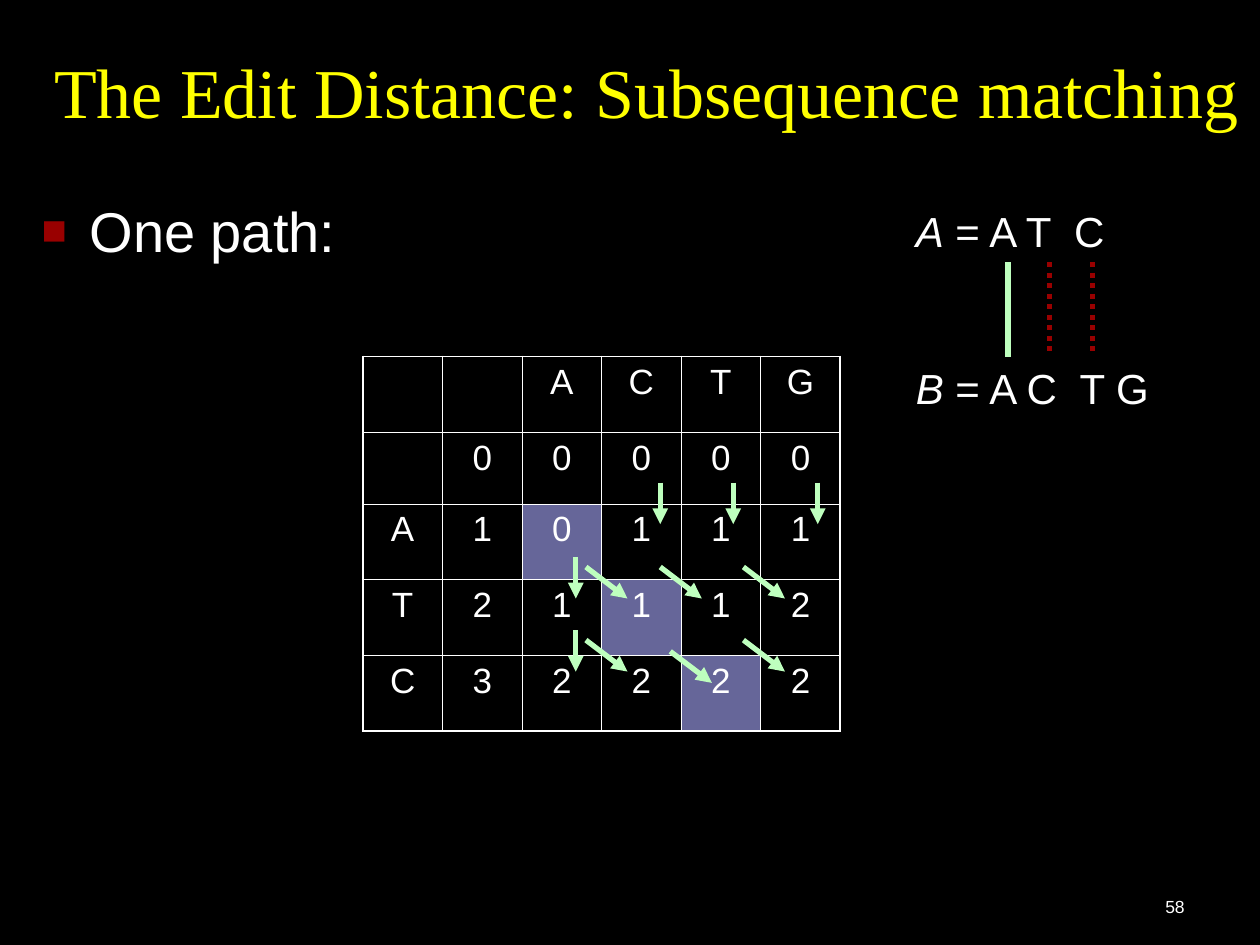
import pptx
import pptx.util
import pptx.dml.color
import pptx.enum.dml
import pptx.enum.shapes
import pptx.enum.text
import pptx.oxml
import pptx.oxml.ns
from lxml import etree

Inches = pptx.util.Inches
Pt = pptx.util.Pt
RGBColor = pptx.dml.color.RGBColor
Align = pptx.enum.text.PP_ALIGN
Anchor = pptx.enum.text.MSO_ANCHOR
qn = pptx.oxml.ns.qn

BLACK = RGBColor(0x00, 0x00, 0x00)
WHITE = RGBColor(0xFF, 0xFF, 0xFF)
YELLOW = RGBColor(0xFF, 0xFF, 0x00)
GREEN = RGBColor(0xBE, 0xFF, 0xBE)
RED = RGBColor(0x99, 0x00, 0x00)
PURPLE = RGBColor(0x66, 0x66, 0x99)


def style(para, size, color=WHITE, name="Arial"):
    para.font.size = Pt(size)
    para.font.name = name
    para.font.color.rgb = color


def link(x, y, dx, dy, color=GREEN):
    line = slide.shapes.add_connector(
        pptx.enum.shapes.MSO_CONNECTOR.STRAIGHT,
        Inches(x), Inches(y), Inches(x + dx), Inches(y + dy))
    line.line.color.rgb = color
    line.line.width = Pt(3)
    etree.SubElement(line._element.spPr, qn("a:effectLst"))
    return line


deck = pptx.Presentation()
deck.slide_width = Inches(10)
deck.slide_height = Inches(7.5)
slide = deck.slides.add_slide(deck.slide_layouts[1])
slide.background.fill.solid()
slide.background.fill.fore_color.rgb = BLACK

title = slide.shapes.title
title.left, title.top = Inches(0.33), Inches(0.33)
title.width, title.height = Inches(9.67), Inches(0.77)
frame = title.text_frame
frame.text = "The Edit Distance: Subsequence matching"
frame.auto_size = pptx.enum.text.MSO_AUTO_SIZE.NONE
frame.vertical_anchor = Anchor.BOTTOM
para = frame.paragraphs[0]
para.alignment = Align.LEFT
para.line_spacing = 0.8
style(para, 40, YELLOW, "Times New Roman")

body = slide.placeholders[1]
body.left, body.top = Inches(0.23), Inches(1.51)
body.width, body.height = Inches(9.77), Inches(3.57)
frame = body.text_frame
frame.text = "One path:"
frame.auto_size = pptx.enum.text.MSO_AUTO_SIZE.NONE
para = frame.paragraphs[0]
para.space_before = Pt(0)
props = para._p.get_or_add_pPr()
props.set("marL", str(Inches(0.38)))
props.set("indent", str(-Inches(0.38)))
color = etree.SubElement(props, qn("a:buClr"))
etree.SubElement(color, qn("a:srgbClr"), val=str(RED))
etree.SubElement(props, qn("a:buSzPct"), val="75000")
etree.SubElement(props, qn("a:buFont"), typeface="Arial")
etree.SubElement(props, qn("a:buChar"), char="■")
style(para, 32)

for name, word, top, width in [("A", " = A T  C", 1.58, 2.42),
                               ("B", " = A C  T G", 2.83, 2.25)]:
    box = slide.shapes.add_textbox(
        Inches(7.17), Inches(top), Inches(width), Inches(0.5))
    box.text_frame.word_wrap = True
    para = box.text_frame.paragraphs[0]
    style(para, 24)
    run = para.add_run()
    run.text = name
    run.font.italic = True
    para.add_run().text = word

link(8, 2.08, 0, 0.75)
for x in (8.33, 8.67):
    dots = link(x, 2.08, 0, 0.75, RED)
    dots.line.dash_style = pptx.enum.dml.MSO_LINE.ROUND_DOT

costs = [
    ["", "", "A", "C", "T", "G"],
    ["", "0", "0", "0", "0", "0"],
    ["A", "1", "0", "1", "1", "1"],
    ["T", "2", "1", "1", "1", "2"],
    ["C", "3", "2", "2", "2", "2"],
]
trace = {(2, 2), (3, 3), (4, 4)}
rows, cols = len(costs), len(costs[0])
grid = slide.shapes.add_table(
    rows, cols, Inches(2.88), Inches(2.83), Inches(3.79), Inches(2.97)).table
grid.first_row = False
grid.horz_banding = False
for col in grid.columns:
    col.width = Inches(3.79 / cols)
for r, row in enumerate(grid.rows):
    row.height = Inches(0.57 if r == 1 else 0.6)
    for c, cell in enumerate(row.cells):
        cell.text = costs[r][c]
        para = cell.text_frame.paragraphs[0]
        para.alignment = Align.CENTER
        style(para, 20)
        props = cell._tc.get_or_add_tcPr()
        edges = {"L": c == 0, "R": c == cols - 1,
                 "T": r == 0, "B": r == rows - 1}
        for side, outer in edges.items():
            edge = etree.SubElement(
                props, qn("a:ln" + side), w=str(Pt(1.08 if outer else 0.45)))
            fill = etree.SubElement(edge, qn("a:solidFill"))
            etree.SubElement(fill, qn("a:srgbClr"), val=str(WHITE))
        if (r, c) in trace:
            cell.fill.solid()
            cell.fill.fore_color.rgb = PURPLE
        else:
            cell.fill.background()

downs = [(4.57, 4.42), (4.57, 5), (5.24, 3.83), (5.82, 3.83), (6.49, 3.83)]
slants = [(4.65, 4.5), (5.24, 4.5), (5.9, 4.5),
          (4.65, 5.08), (5.32, 5.17), (5.9, 5.08)]
for starts, dx, dy in [(downs, 0, 0.33), (slants, 0.33, 0.25)]:
    for x, y in starts:
        arrow = link(x, y, dx, dy)
        etree.SubElement(arrow.line._get_or_add_ln(),
                         qn("a:tailEnd"), type="triangle")

box = slide.shapes.add_textbox(
    Inches(7.42), Inches(6.83), Inches(2.08), Inches(0.5))
box.text_frame.word_wrap = True
box.text_frame.vertical_anchor = Anchor.BOTTOM
para = box.text_frame.paragraphs[0]
para.text = "58"
para.alignment = Align.RIGHT
style(para, 10)

deck.save("out.pptx")
